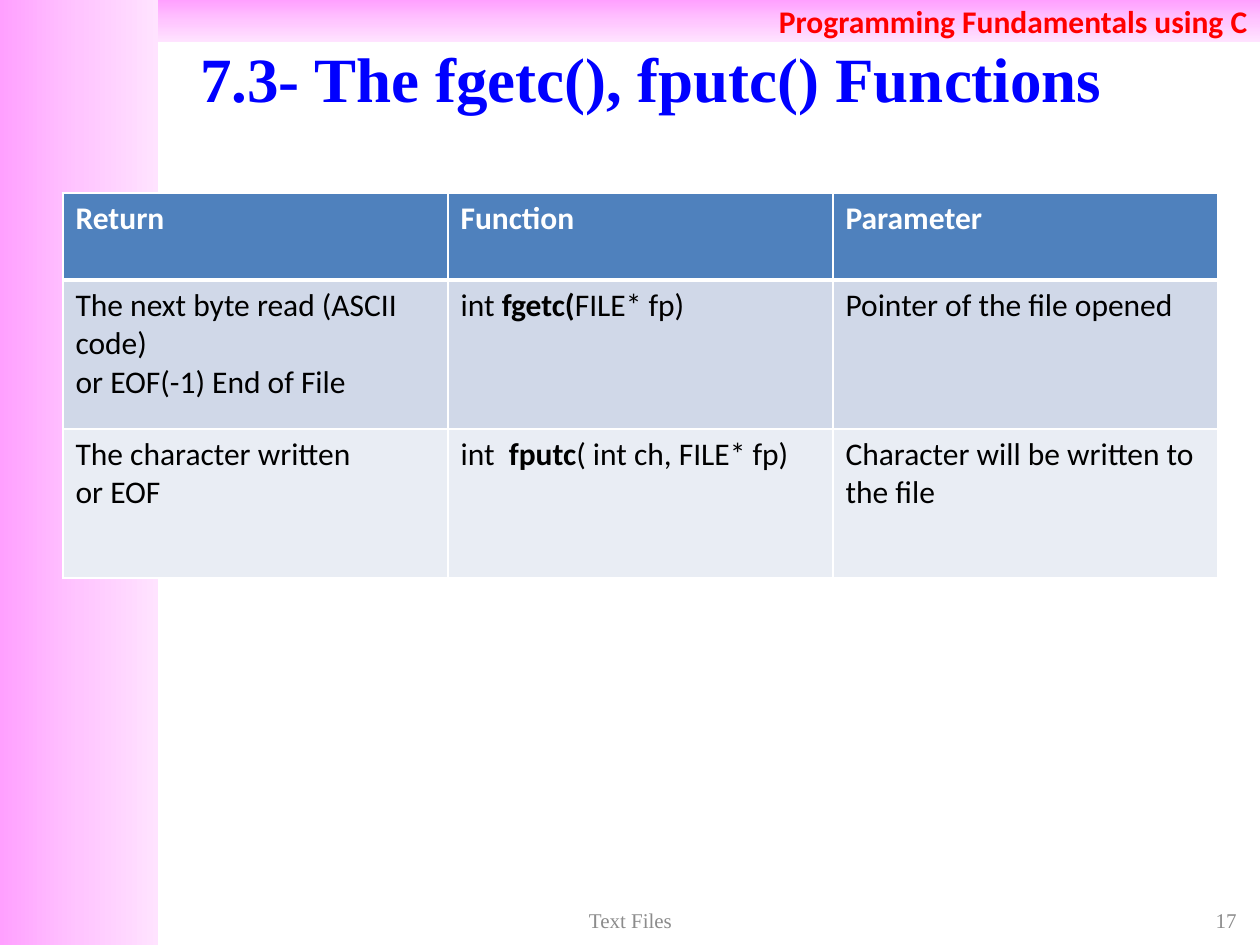
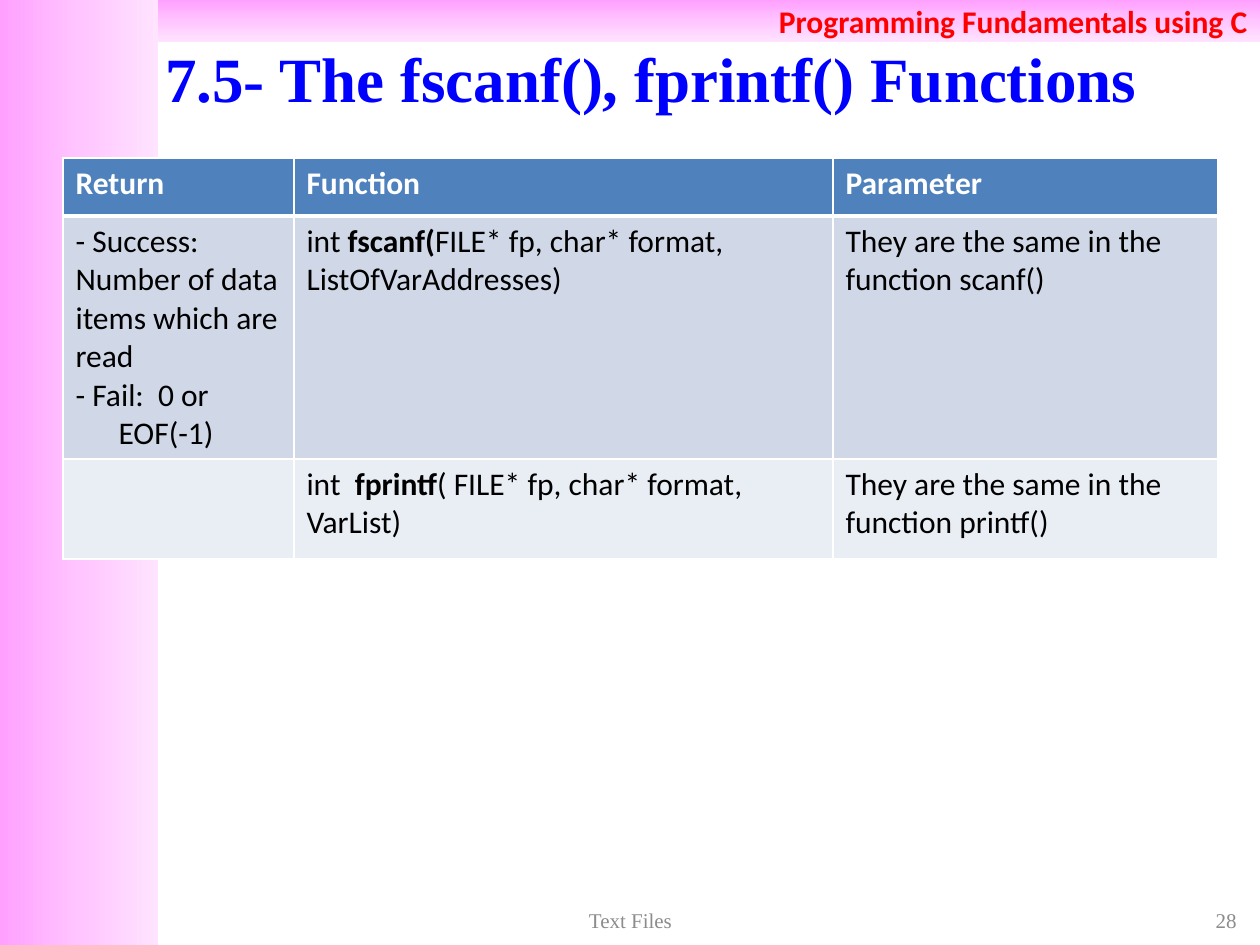
from dataclasses import dataclass

from lxml.etree import SubElement
from pptx import Presentation
from pptx.dml.color import RGBColor
from pptx.enum.shapes import MSO_SHAPE
from pptx.enum.text import MSO_ANCHOR as Anchor, PP_ALIGN as Align
from pptx.oxml.ns import qn
from pptx.slide import Slide
from pptx.table import _Cell as Cell
from pptx.text.text import TextFrame, _Paragraph as Paragraph
from pptx.util import Emu, Pt

PX = 914400 / 126

WHITE = RGBColor(0xFF, 0xFF, 0xFF)
BLACK = RGBColor(0x00, 0x00, 0x00)
RED = RGBColor(0xFF, 0x00, 0x00)
BLUE = RGBColor(0x00, 0x00, 0xFF)
GRAY = RGBColor(0x8C, 0x8C, 0x8C)
HEADER_FILL = RGBColor(0x4F, 0x81, 0xBD)
ROW_FILLS = (RGBColor(0xD0, 0xD8, 0xE8), RGBColor(0xE9, 0xED, 0xF4))
PINKS = (
    RGBColor(0xFF, 0xA0, 0xFF),
    RGBColor(0xFF, 0xC5, 0xFF),
    RGBColor(0xFF, 0xE3, 0xFF),
)


@dataclass(frozen=True)
class Box:
    x: int
    y: int
    w: int
    h: int

    def emu(self) -> tuple[Emu, ...]:
        return tuple(px(n) for n in (self.x, self.y, self.w, self.h))


@dataclass(frozen=True)
class Style:
    font: str
    size: int
    color: RGBColor
    bold: bool = False
    align: Align = Align.LEFT


@dataclass(frozen=True)
class Run:
    text: str
    bold: bool = False


@dataclass(frozen=True)
class Line:
    runs: tuple[Run, ...]
    indent: int = 0


@dataclass(frozen=True)
class FunctionSlide:
    title: str
    number: int
    top: int
    cols: tuple[int, ...]
    rows: tuple[int, ...]
    body: tuple[tuple[tuple[Line, ...], ...], ...]


SIDE_BAND = Box(0, 0, 158, 945)
TOP_BAND = Box(158, 0, 1102, 42)
TITLE_BOX = Box(105, 38, 1092, 78)
NUMBER_BOX = Box(955, 903, 294, 34)
FOOTER_BOX = Box(431, 903, 399, 34)
TABLE_LEFT = 63

COURSE = Style("Calibri", 18, RED, True, Align.RIGHT)
TITLE = Style("Times New Roman", 36, BLUE, True, Align.CENTER)
NUMBER = Style("Times New Roman", 12, GRAY, align=Align.RIGHT)
FOOTER = Style("Times New Roman", 12, GRAY, align=Align.CENTER)
HEADER = Style("Calibri", 18, WHITE, True)
BODY = Style("Calibri", 18, BLACK)


def px(n: float) -> Emu:
    return Emu(round(n * PX))


def line(text: str, indent: int = 0) -> Line:
    return Line((Run(text),), indent)


def prototype(before: str, name: str, after: str) -> tuple[Line, ...]:
    return (Line((Run(before), Run(name, True), Run(after))),)


HEADINGS = tuple((line(h),) for h in ("Return", "Function", "Parameter"))

SLIDES = (
    FunctionSlide(
        "7.3- The fgetc(), fputc() Functions", 17, 193,
        (385, 385, 385), (87, 149, 149),
        (
            (
                (line("The next byte read (ASCII code)"), line("or EOF(-1) End of File")),
                prototype("int ", "fgetc(", "FILE* fp)"),
                (line("Pointer of the file opened"),),
            ),
            (
                (line("The character written"), line("or EOF")),
                prototype("int  ", "fputc", "( int ch, FILE* fp)"),
                (line("Character will be written to the file"),),
            ),
        ),
    ),
    FunctionSlide(
        "7.5- The fscanf(), fprintf() Functions", 28, 158,
        (231, 539, 385), (58, 243, 100),
        (
            (
                (
                    line("- Success: Number of data items which are read"),
                    line("- Fail:  0 or"),
                    line("EOF(-1)", 43),
                ),
                prototype("int ", "fscanf(", "FILE* fp, char* format, ListOfVarAddresses)"),
                (line("They are the same in the function scanf()"),),
            ),
            (
                (),
                prototype("int  ", "fprintf", "( FILE* fp, char* format, VarList)"),
                (line("They are the same in the function printf()"),),
            ),
        ),
    ),
)


def add_run(p: Paragraph, text: str, style: Style, bold: bool) -> None:
    r = p.add_run()
    r.text = text
    r.font.name = style.font
    r.font.size = Pt(style.size)
    r.font.color.rgb = style.color
    r.font.bold = bold


def write(tf: TextFrame, lines: tuple[Line, ...], style: Style) -> None:
    for i, ln in enumerate(lines):
        p = tf.add_paragraph() if i else tf.paragraphs[0]
        p.alignment = style.align
        if ln.indent:
            p._p.get_or_add_pPr().set("marL", str(px(ln.indent)))
        for run in ln.runs:
            add_run(p, run.text, style, style.bold or run.bold)


def write_middle(tf: TextFrame, text: str, style: Style) -> None:
    tf.word_wrap = True
    tf.vertical_anchor = Anchor.MIDDLE
    write(tf, (line(text),), style)


def add_text(s: Slide, box: Box, text: str, style: Style) -> None:
    write_middle(s.shapes.add_textbox(*box.emu()).text_frame, text, style)


def add_band(s: Slide, box: Box, angle: int) -> TextFrame:
    sp = s.shapes.add_shape(MSO_SHAPE.RECTANGLE, *box.emu())
    sp.shadow.inherit = False
    sp.line.fill.background()
    sp.fill.gradient()
    grad = sp._element.spPr.find(qn("a:gradFill"))
    for child in list(grad):
        grad.remove(child)
    stops = SubElement(grad, qn("a:gsLst"))
    for i, color in enumerate(PINKS):
        stop = SubElement(stops, qn("a:gs"), pos=str(i * 50000))
        SubElement(stop, qn("a:srgbClr"), val=str(color))
    SubElement(grad, qn("a:lin"), ang=str(angle * 60000), scaled="0")
    return sp.text_frame


def set_borders(cell: Cell, top: int, bottom: int) -> None:
    pr = cell._tc.get_or_add_tcPr()
    for side, width in (("L", 1), ("R", 1), ("T", top), ("B", bottom)):
        ln = SubElement(pr, qn(f"a:ln{side}"), w=str(Pt(width)))
        fill = SubElement(ln, qn("a:solidFill"))
        SubElement(fill, qn("a:srgbClr"), val=str(WHITE))


def add_function_table(s: Slide, data: FunctionSlide) -> None:
    cells = (HEADINGS, *data.body)
    box = Box(TABLE_LEFT, data.top, sum(data.cols), sum(data.rows))
    table = s.shapes.add_table(len(data.rows), len(data.cols), *box.emu()).table
    table.horz_banding = False
    for col, width in zip(table.columns, data.cols):
        col.width = px(width)
    for i, (row, height) in enumerate(zip(table.rows, data.rows)):
        row.height = px(height)
        for cell, lines in zip(row.cells, cells[i]):
            set_borders(cell, 3 if i == 1 else 1, 3 if i == 0 else 1)
            cell.fill.solid()
            cell.fill.fore_color.rgb = ROW_FILLS[i - 1] if i else HEADER_FILL
            write(cell.text_frame, lines, BODY if i else HEADER)


def add_function_slide(prs: Presentation, data: FunctionSlide) -> None:
    s = prs.slides.add_slide(prs.slide_layouts[6])
    add_band(s, SIDE_BAND, 0)
    write_middle(add_band(s, TOP_BAND, 90), "Programming Fundamentals using C", COURSE)
    add_text(s, TITLE_BOX, data.title, TITLE)
    add_function_table(s, data)
    add_text(s, NUMBER_BOX, str(data.number), NUMBER)
    add_text(s, FOOTER_BOX, "Text Files", FOOTER)


prs = Presentation()
prs.slide_width, prs.slide_height = px(1260), px(945)
for data in SLIDES:
    add_function_slide(prs, data)
prs.save("out.pptx")
